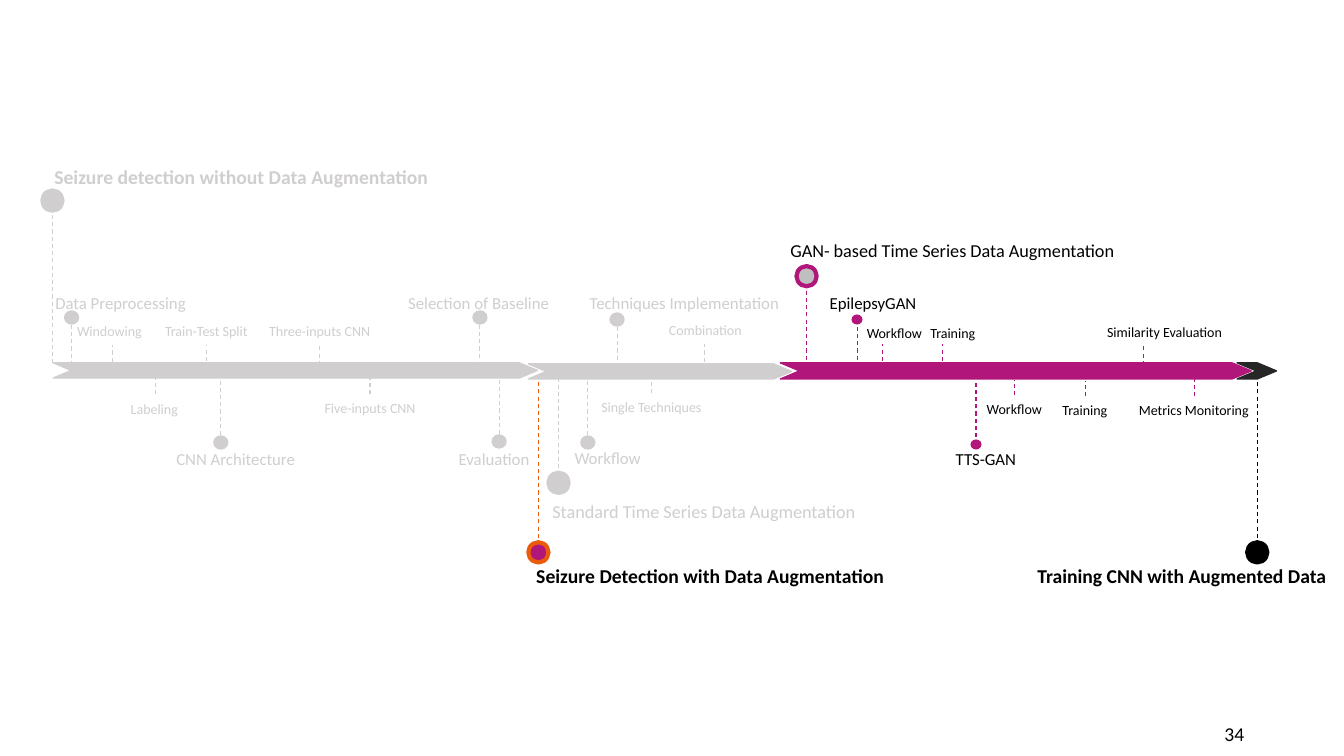
from lxml import etree
from pptx import Presentation
from pptx.dml.color import RGBColor
from pptx.enum.dml import MSO_LINE
from pptx.enum.shapes import MSO_CONNECTOR, MSO_SHAPE
from pptx.enum.text import MSO_ANCHOR, MSO_AUTO_SIZE, PP_ALIGN
from pptx.oxml.ns import qn
from pptx.util import Inches, Pt

GREY, MAGENTA, ORANGE, BLACK = "D0CECE", "B1167B", "EA5B0C", "000000"
HEIGHTS = {14: 0.34, 13: 0.32, 12: 0.3, 10: 0.27}

# left, top, width, height, colour
BARS = [
    (7.74, 3.6, 4.67, 0.16, MAGENTA),
    (5.24, 3.61, 2.61, 0.15, GREY),
    (12.27, 3.6, 0.39, 0.16, "262626"),
    (0.53, 3.6, 4.8, 0.15, GREY),
]
# wording, left, top, width, size, dot centre x and y, stem end, fill, ring
PHASES = [
    ("Seizure detection without Data Augmentation", 0.44, 1.59, 4.48, 14, 0.52, 1.99, 3.6, GREY, GREY),
    ("Standard Time Series Data Augmentation", 5.38, 4.91, 4.41, 13, 5.54, 4.79, 3.71, GREY, GREY),
    ("GAN- based Time Series Data Augmentation", 7.74, 2.32, 4.41, 13, 8, 2.74, 3.67, "BFBFBF", MAGENTA),
    ("Seizure Detection with Data Augmentation", 5.22, 5.55, 4.41, 14, 5.34, 5.48, 3.77, MAGENTA, ORANGE),
    ("Training CNN with Augmented Data", 10.19, 5.55, 3.1, 14, 12.47, 5.48, 3.68, BLACK, BLACK),
]
# wording, left, top, width, dot centre x and y, stem end, colour
STEPS = [
    ("Data Preprocessing", 0.45, 2.86, 1.51, 0.71, 3.15, 3.68, GREY),
    ("CNN Architecture", 1.65, 4.4, 1.39, 2.19, 4.39, 3.76, GREY),
    ("Selection of Baseline", 3.95, 2.86, 1.62, 4.76, 3.15, 3.58, GREY),
    ("Evaluation", 4.45, 4.4, 0.91, 4.95, 4.38, 3.76, GREY),
    ("Workflow", 5.6, 4.39, 0.87, 5.83, 4.39, 3.77, GREY),
    ("Techniques Implementation", 5.75, 2.86, 2.1, 6.12, 3.17, 3.6, GREY),
    ("EpilepsyGAN", 8.13, 2.86, 1.07, 8.5, 3.17, 3.6, MAGENTA),
    ("TTS-GAN", 9.38, 4.4, 0.81, 9.68, 4.41, 3.79, MAGENTA),
]
# wording, left, top, width, tick x, tick start, tick end, colour
TASKS = [
    ("Windowing", 0.66, 3.15, 0.85, 1.12, 3.59, 3.42, GREY),
    ("Labeling", 1.19, 3.92, 0.68, 1.54, 3.91, 3.75, GREY),
    ("Train-Test Split", 1.52, 3.15, 1.05, 2.05, 3.58, 3.42, GREY),
    ("Three-inputs CNN", 2.56, 3.15, 1.22, 3.17, 3.62, 3.42, GREY),
    ("Five-inputs CNN", 3.11, 3.91, 1.12, 3.67, 3.91, 3.75, GREY),
    ("Single Techniques", 5.85, 3.9, 1.22, 6.46, 3.9, 3.75, GREY),
    ("Combination", 6.53, 3.14, 0.93, 6.99, 3.59, 3.41, GREY),
    ("Workflow", 8.49, 3.17, 0.76, 8.75, 3.58, 3.41, MAGENTA),
    ("Training", 9.12, 3.17, 0.66, 9.35, 3.58, 3.41, MAGENTA),
    ("Workflow", 9.68, 3.92, 0.76, 10.06, 3.92, 3.77, MAGENTA),
    ("Training", 10.43, 3.93, 0.66, 10.77, 3.93, 3.78, MAGENTA),
    ("Similarity Evaluation", 10.87, 3.16, 1.36, 11.34, 3.62, 3.43, MAGENTA),
    ("Metrics Monitoring", 11.19, 3.93, 1.3, 11.85, 3.93, 3.7, MAGENTA),
]


def rgb(value):
    """Turn a hex string into a colour."""
    return RGBColor.from_string(value)


def add_label(slide, wording, left, top, width, size, colour, wrap=False, align=PP_ALIGN.LEFT):
    """Write one line of text, bold at the largest size."""
    label = slide.shapes.add_textbox(Inches(left), Inches(top), Inches(width), Inches(HEIGHTS[size]))
    frame = label.text_frame
    frame.word_wrap = wrap
    frame.auto_size = MSO_AUTO_SIZE.SHAPE_TO_FIT_TEXT
    paragraph = frame.paragraphs[0]
    paragraph.alignment = align
    run = paragraph.add_run()
    run.text = wording
    run.font.name = "Calibri"
    run.font.size = Pt(size)
    run.font.bold = size == 14
    run.font.color.rgb = rgb(colour)


def add_page_number(slide, number):
    """Write the page number at the lower right."""
    page = slide.shapes.add_textbox(Inches(9.44), Inches(7.08), Inches(3), Inches(0.4))
    frame = page.text_frame
    frame.word_wrap = True
    frame.vertical_anchor = MSO_ANCHOR.MIDDLE
    paragraph = frame.paragraphs[0]
    paragraph.alignment = PP_ALIGN.RIGHT
    run = paragraph.add_run()
    run.text = number
    run.font.name = "Calibri"
    run.font.size = Pt(14)
    run.font.color.rgb = rgb(BLACK)


def add_stem(slide, x, start, end, colour):
    """Draw a vertical dashed line."""
    stem = slide.shapes.add_connector(
        MSO_CONNECTOR.STRAIGHT, Inches(x), Inches(start), Inches(x), Inches(end))
    stem.line.color.rgb = rgb(colour)
    stem.line.width = Pt(0.75)
    stem.line.dash_style = MSO_LINE.DASH
    etree.SubElement(stem._element.spPr, qn("a:effectLst"))


def add_solid(slide, kind, left, top, width, height, fill, outline=None, weight=1):
    """Draw a filled shape with an optional outline."""
    solid = slide.shapes.add_shape(kind, Inches(left), Inches(top), Inches(width), Inches(height))
    solid.shadow.inherit = False
    solid.fill.solid()
    solid.fill.fore_color.rgb = rgb(fill)
    if outline:
        solid.line.color.rgb = rgb(outline)
        solid.line.width = Pt(weight)
    else:
        solid.line.fill.background()
    return solid


def add_dot(slide, x, y, width, height, fill, ring):
    """Draw a round marker about its centre."""
    add_solid(slide, MSO_SHAPE.FLOWCHART_CONNECTOR, x - width / 2, y - height / 2,
              width, height, fill, ring, 3)


def add_bar(slide, left, top, width, height, colour):
    """Draw one chevron of the timeline."""
    bar = add_solid(slide, MSO_SHAPE.CHEVRON, left, top, width, height, colour, colour)
    bar.adjustments[0] = 1.194


def text_colour(colour):
    """Keep grey for past parts and use black for current ones."""
    return GREY if colour == GREY else BLACK


def add_phase(slide, wording, left, top, width, size, x, y, stem_end, fill, ring):
    """Draw a main phase with its large marker."""
    add_stem(slide, x, y, stem_end, ring)
    add_dot(slide, x, y, 0.2, 0.2, fill, ring)
    add_label(slide, wording, left, top, width, size, text_colour(ring), wrap=True)


def add_step(slide, wording, left, top, width, x, y, stem_end, colour):
    """Draw a step with its small marker."""
    add_stem(slide, x, y, stem_end, colour)
    add_dot(slide, x, y, 0.11, 0.1, colour, GREY if colour == GREY else None)
    add_label(slide, wording, left, top, width, 12, text_colour(colour))


def add_task(slide, wording, left, top, width, x, start, end, colour):
    """Draw a task with its short tick."""
    add_stem(slide, x, start, end, colour)
    add_label(slide, wording, left, top, width, 10, text_colour(colour), align=PP_ALIGN.CENTER)


def main():
    """Build the timeline slide."""
    deck = Presentation()
    deck.slide_width, deck.slide_height = Inches(13.33), Inches(7.5)
    slide = deck.slides.add_slide(deck.slide_layouts[6])
    for draw, rows in ((add_phase, PHASES), (add_step, STEPS), (add_task, TASKS), (add_bar, BARS)):
        for row in rows:
            draw(slide, *row)
    add_page_number(slide, "34")
    deck.save("out.pptx")


if __name__ == "__main__":
    main()
